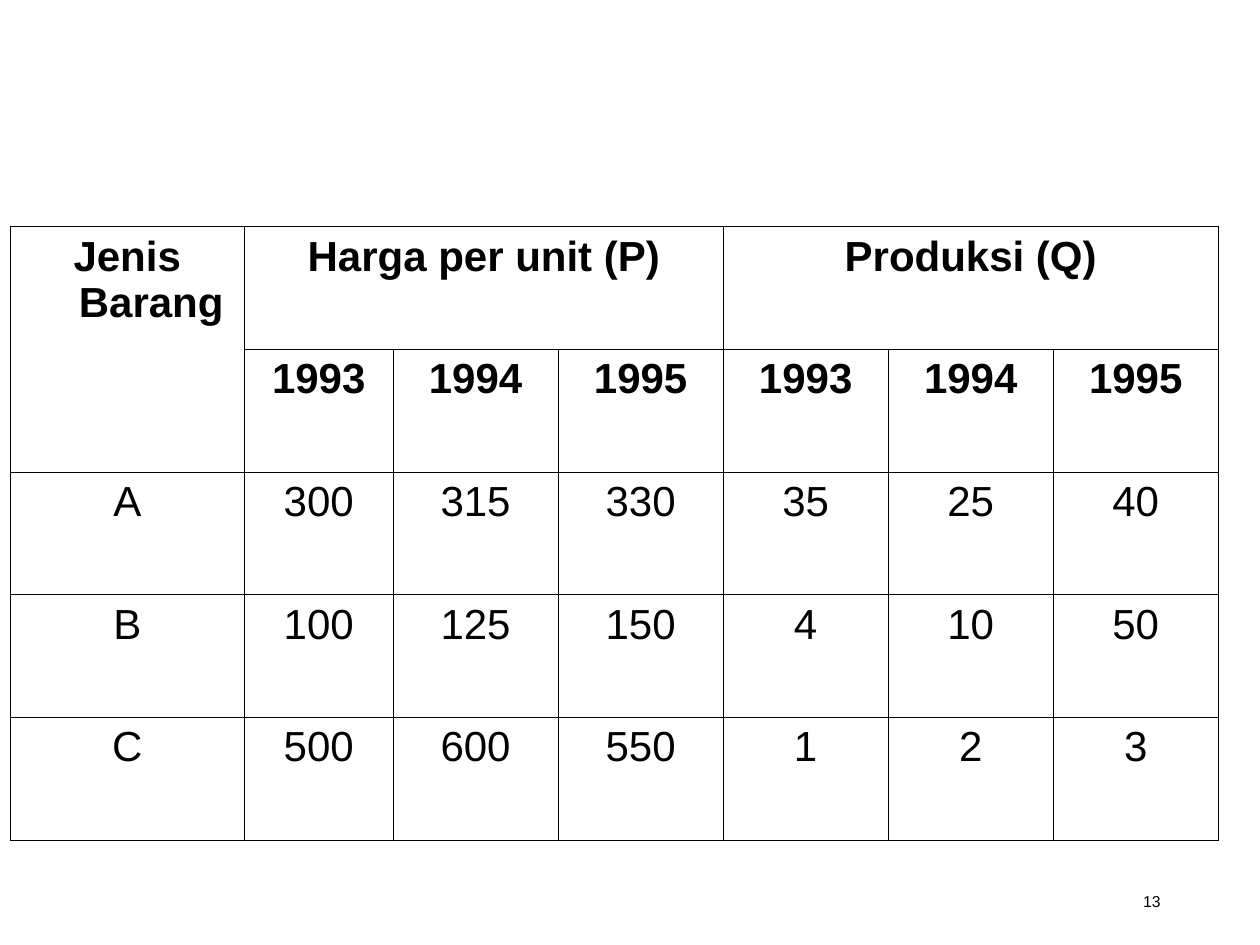
from pptx import Presentation
from pptx.dml.color import RGBColor
from pptx.enum.text import MSO_ANCHOR as Anchor, PP_ALIGN as Align
from pptx.oxml import parse_xml
from pptx.oxml.ns import nsdecls
from pptx.util import Inches, Pt

BLACK = "000000"
COLUMN_WIDTHS = [1.86, 1.18] + [1.31] * 5
YEARS = ["1993", "1994", "1995"]
HEADER_ROWS = 2
ROWS = [
    ["Jenis Barang", "Harga per unit (P)", "", "", "Produksi (Q)", "", ""],
    [""] + YEARS * 2,
    ["A", "300", "315", "330", "35", "25", "40"],
    ["B", "100", "125", "150", "4", "10", "50"],
    ["C", "500", "600", "550", "1", "2", "3"],
]


def color(value):
    return RGBColor.from_string(value)


def write_text(text_frame, text, size, align, bold=False, hanging=0):
    paragraph = text_frame.paragraphs[0]
    paragraph.alignment = align
    if hanging:
        properties = paragraph._p.get_or_add_pPr()
        properties.set("marL", str(Inches(hanging)))
        properties.set("indent", str(-Inches(hanging)))
    run = paragraph.add_run()
    run.text = text
    run.font.name = "Arial"
    run.font.size = Pt(size)
    run.font.bold = bold
    run.font.color.rgb = color(BLACK)


def add_borders(cell, width=0.45):
    properties = cell._tc.get_or_add_tcPr()
    for position, side in enumerate(("lnL", "lnR", "lnT", "lnB")):
        properties.insert(position, parse_xml(
            f'<a:{side} {nsdecls("a")} w="{Pt(width)}"><a:solidFill>'
            f'<a:srgbClr val="{BLACK}"/></a:solidFill></a:{side}>'))


def add_price_table(slide, left, top, width, height):
    frame = slide.shapes.add_table(
        len(ROWS), len(COLUMN_WIDTHS), left, top, width, height)
    table = frame.table
    table.first_row = False
    table.horz_banding = False
    for column, column_width in zip(table.columns, COLUMN_WIDTHS):
        column.width = Inches(column_width)
    for row_index, values in enumerate(ROWS):
        for column_index, text in enumerate(values):
            cell = table.cell(row_index, column_index)
            cell.fill.background()
            add_borders(cell)
            if text:
                write_text(cell.text_frame, text, 24, Align.CENTER,
                           bold=row_index < HEADER_ROWS, hanging=0.38)
    table.cell(0, 0).merge(table.cell(1, 0))
    for first in (1, 1 + len(YEARS)):
        table.cell(0, first).merge(table.cell(0, first + len(YEARS) - 1))


def add_page_number(slide, left, top, width, height):
    text_frame = slide.shapes.add_textbox(left, top, width, height).text_frame
    text_frame.word_wrap = True
    text_frame.vertical_anchor = Anchor.MIDDLE
    write_text(text_frame, "13", 9, Align.RIGHT)


def main():
    presentation = Presentation()
    presentation.slide_width = Inches(10)
    presentation.slide_height = Inches(7.5)
    slide = presentation.slides.add_slide(presentation.slide_layouts[6])
    add_price_table(slide, Inches(0.08), Inches(1.8), Inches(9.59), Inches(4.87))
    add_page_number(slide, Inches(7.06), Inches(6.95), Inches(2.25), Inches(0.4))
    presentation.save("out.pptx")


if __name__ == "__main__":
    main()
